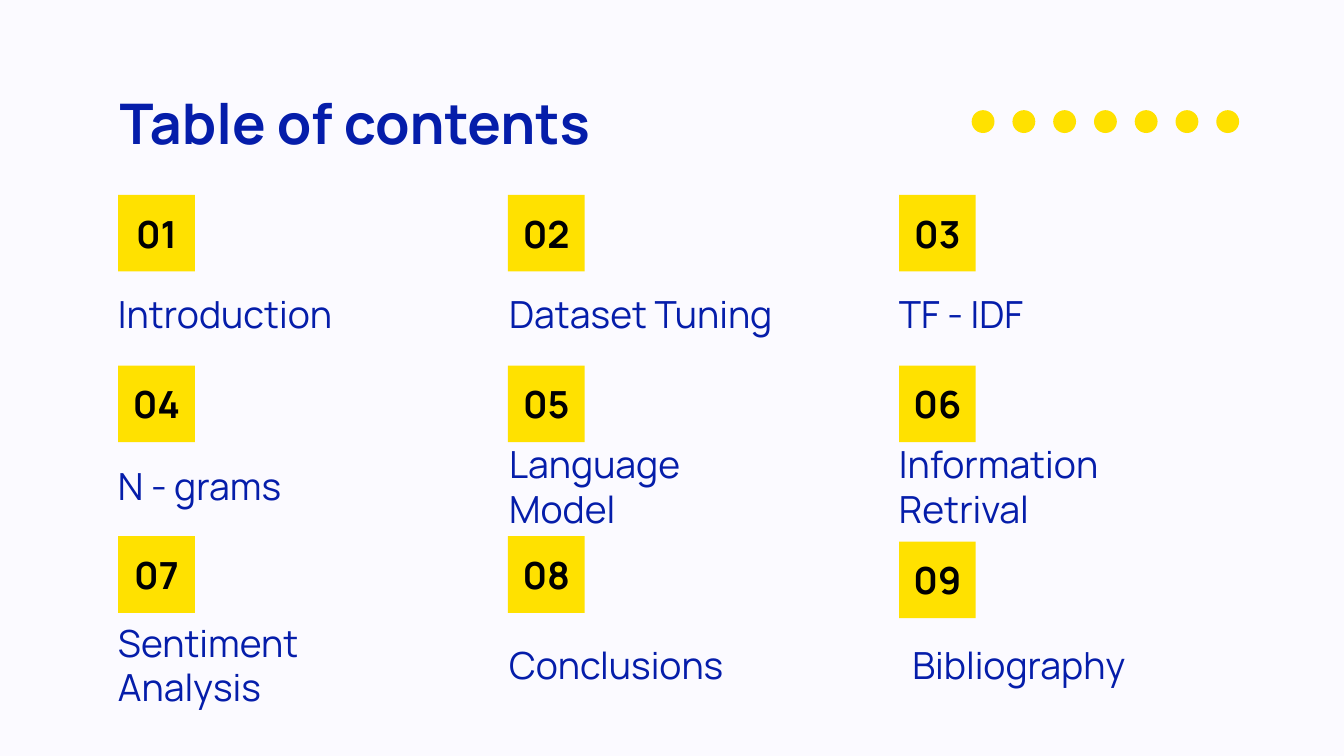
"""Build a table of contents slide with nine numbered topics."""
from dataclasses import dataclass

import pptx
import pptx.dml.color
import pptx.enum.shapes
import pptx.enum.text
import pptx.util

RGBColor = pptx.dml.color.RGBColor
Inches = pptx.util.Inches
MSO_SHAPE = pptx.enum.shapes.MSO_SHAPE
PP_ALIGN = pptx.enum.text.PP_ALIGN

BACKGROUND = RGBColor(0xFB, 0xFA, 0xFF)
YELLOW = RGBColor(0xFF, 0xE1, 0x00)
BLUE = RGBColor(0x05, 0x1D, 0xAA)
BLACK = RGBColor(0x00, 0x00, 0x00)
FONT = "Manrope"

SLIDE_WIDTH = 10
SLIDE_HEIGHT = SLIDE_WIDTH * 9 / 16
COLUMNS = (0.88, 3.78, 6.69)
BADGE_TOP, ROW_STEP = 1.45, 1.27
LABEL_TOPS = (2.05, 3.33, 4.66)
BADGE, LABEL_WIDTH, INSET = 0.57, 2.24, 0.1
DOT, DOT_TOP, DOT_COUNT = 0.17, 0.82, 7
DOT_FIRST, DOT_LAST = 7.23, 9.05
DOT_STEP = (DOT_LAST - DOT_FIRST) / (DOT_COUNT - 1)


@dataclass
class Topic:
    text: str
    badge_shift: float = 0
    label_shift: float = -0.1


TOPICS = [
    Topic("Introduction"), Topic("Dataset Tuning", label_shift=-0.09), Topic("TF - IDF"),
    Topic("N - grams"), Topic("Language Model", label_shift=-0.09),
    Topic("Information Retrival"),
    Topic("Sentiment Analysis"), Topic("Conclusions", label_shift=-0.09),
    Topic("Bibliography", badge_shift=0.04, label_shift=0),
]


def write(sp, text: str, *, size: float = 20, color: RGBColor = BLUE,
          bold: bool = False, align=PP_ALIGN.LEFT) -> None:
    tf = sp.text_frame
    tf.auto_size = pptx.enum.text.MSO_AUTO_SIZE.NONE
    tf.word_wrap = True
    tf.vertical_anchor = pptx.enum.text.MSO_ANCHOR.MIDDLE
    tf.margin_left = tf.margin_right = Inches(INSET)
    tf.margin_top = tf.margin_bottom = Inches(INSET)
    p = tf.paragraphs[0]
    p.alignment = align
    r = p.add_run()
    r.text = text
    r.font.name = FONT
    r.font.size = pptx.util.Pt(size)
    r.font.bold = bold
    r.font.color.rgb = color


def add_yellow(s, kind, left: float, top: float, size: float):
    sp = s.shapes.add_shape(kind, Inches(left), Inches(top), Inches(size), Inches(size))
    sp.shadow.inherit = False
    sp.fill.solid()
    sp.fill.fore_color.rgb = YELLOW
    sp.line.fill.background()
    return sp


def add_topic(s, index: int, topic: Topic) -> None:
    row, col = divmod(index, len(COLUMNS))
    left = COLUMNS[col]
    top = BADGE_TOP + row * ROW_STEP + topic.badge_shift
    badge = add_yellow(s, MSO_SHAPE.RECTANGLE, left, top, BADGE)
    write(badge, f"{index + 1:02d}", color=BLACK, bold=True, align=PP_ALIGN.CENTER)
    label = s.shapes.add_textbox(Inches(left + topic.label_shift), Inches(LABEL_TOPS[row]),
                                 Inches(LABEL_WIDTH), Inches(BADGE))
    write(label, topic.text)


def main() -> None:
    prs = pptx.Presentation()
    prs.slide_width, prs.slide_height = Inches(SLIDE_WIDTH), Inches(SLIDE_HEIGHT)
    s = prs.slides.add_slide(prs.slide_layouts[5])
    s.background.fill.solid()
    s.background.fill.fore_color.rgb = BACKGROUND

    title = s.shapes.title
    title.left, title.top = Inches(0.79), Inches(0.59)
    title.width, title.height = Inches(8.43), Inches(0.63)
    write(title, "Table of contents", size=30, bold=True)

    for i in range(DOT_COUNT):
        add_yellow(s, MSO_SHAPE.OVAL, DOT_FIRST + i * DOT_STEP, DOT_TOP, DOT)
    for i, topic in enumerate(TOPICS):
        add_topic(s, i, topic)

    prs.save("out.pptx")


if __name__ == "__main__":
    main()
